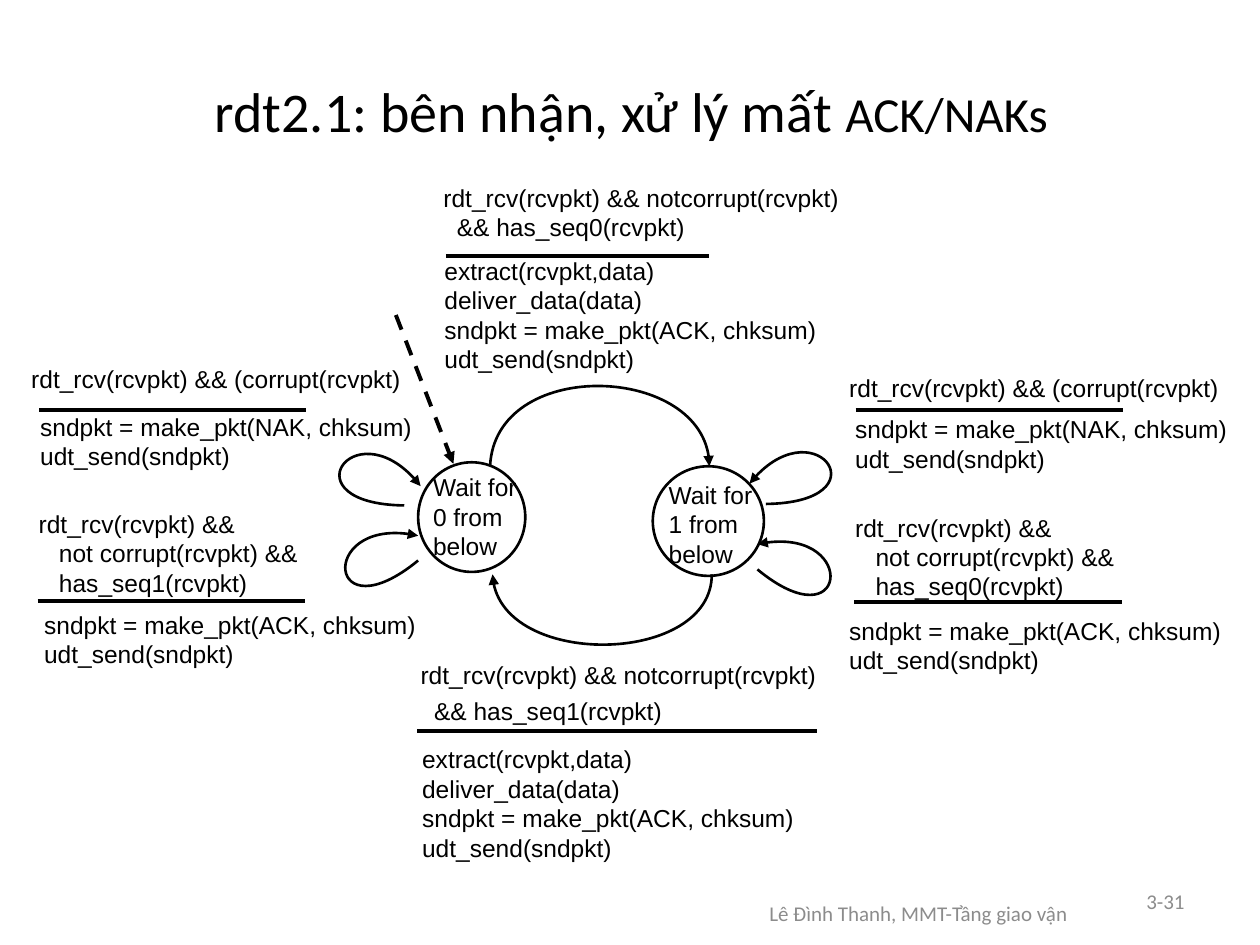
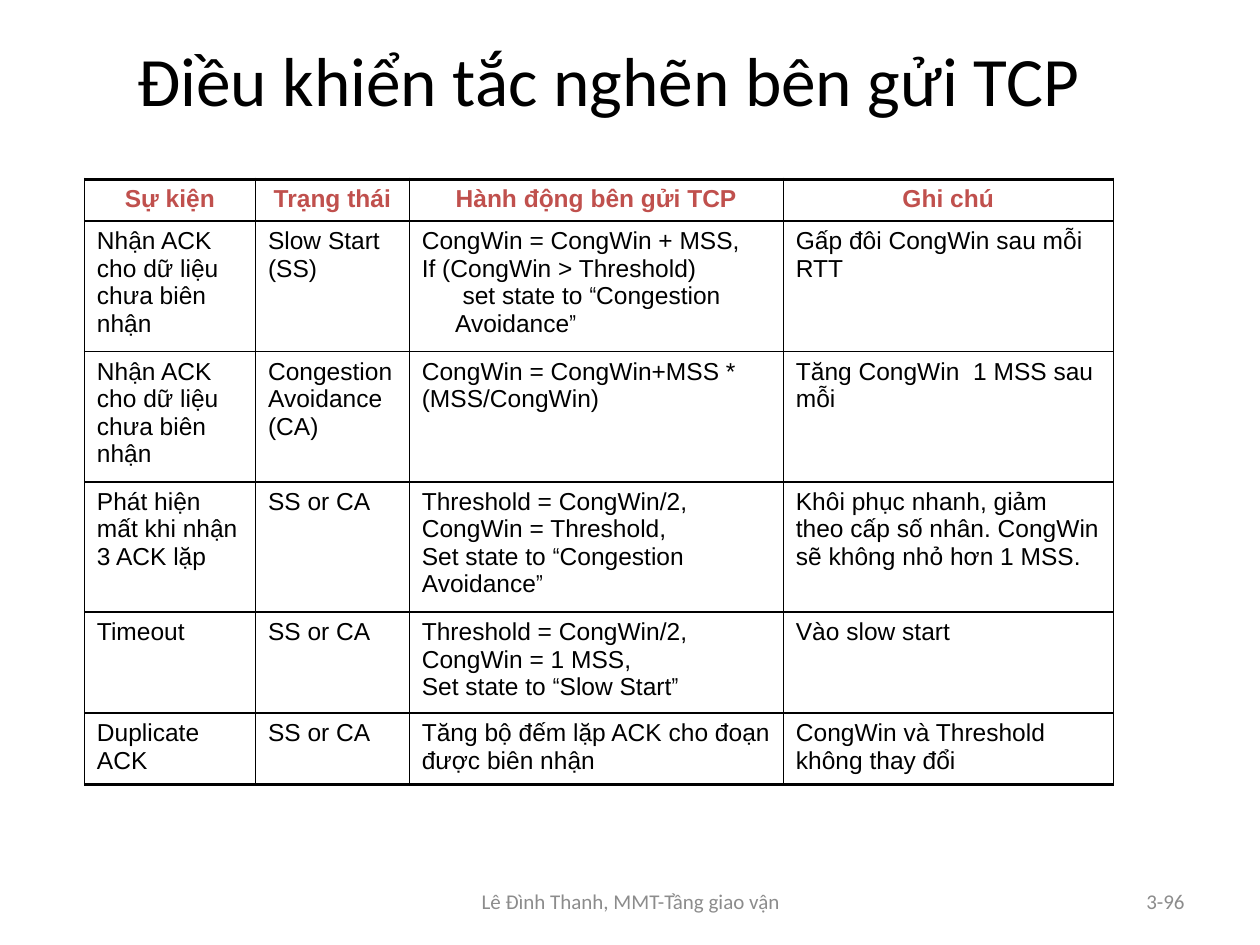
"""Build two lecture slides: the rdt2.1 receiver and TCP sender congestion control."""
from itertools import groupby

from pptx import Presentation
from pptx.dml.color import RGBColor
from pptx.enum import dml, shapes, text
from pptx.oxml.ns import qn
from pptx.oxml.xmlchemy import OxmlElement
from pptx.util import Cm, Pt

BLACK = RGBColor(0, 0, 0)
WHITE = RGBColor(0xFF, 0xFF, 0xFF)
GRAY = RGBColor(0x8C, 0x8C, 0x8C)
RED = RGBColor(0xC0, 0x50, 0x4D)
BODY, QUOTE, HEADING = "Arial", "Arial Narrow", "Calibri"

FOOTER = "Lê Đình Thanh, MMT-Tầng giao vận"
NUMBER_BOX = (18.21, 17.65, 5.92, 1.02)

RECEIVER = dict(
    title=[("rdt2.1: bên nhận, xử lý mất ", 32), ("ACK/NAKs", 28)],
    title_box=(1.17, 0.64, 23.11, 3.18),
    footer_box=(13.97, 17.78, 9.09, 1.27), number="3-31")
SENDER = dict(
    title=[("Điều khiển tắc nghẽn bên gửi TCP", 39.6)],
    title_box=(1.47, 0, 21.59, 3.18),
    footer_box=(8.69, 17.65, 8.05, 1.02), number="3-96")

CORRUPT = ["rdt_rcv(rcvpkt) && (corrupt(rcvpkt)"]
NAK = ["sndpkt = make_pkt(NAK, chksum)", "udt_send(sndpkt)"]
ACK = ["sndpkt = make_pkt(ACK, chksum)", "udt_send(sndpkt)"]
DELIVER = ["extract(rcvpkt,data)", "deliver_data(data)"] + ACK


def intact(seq):
    return ["rdt_rcv(rcvpkt) && notcorrupt(rcvpkt)", f"&& has_seq{seq}(rcvpkt)"]


def duplicate(seq):
    return ["rdt_rcv(rcvpkt) &&", "not corrupt(rcvpkt) &&", f"has_seq{seq}(rcvpkt)"]


# box, lines, indent of the following lines (cm), space before them (pt)
LABELS = [
    ((8.69, 3.56, 11.05, 1.57), intact(0), 0.27, 0),
    ((8.71, 5.03, 9.65, 1.96), DELIVER, 0, 0),
    ((16.87, 7.39, 8, 1.7), CORRUPT, 0, 0),
    ((16.99, 8.23, 8.41, 1.14), NAK, 0, 0),
    ((16.99, 10.21, 7.29, 1.7), duplicate(0), 0.41, 0),
    ((16.87, 12.29, 8.18, 1.14), ACK, 0, 0),
    ((0.38, 7.21, 8, 1.7), CORRUPT, 0, 0),
    ((0.56, 8.18, 8.41, 1.14), NAK, 0, 0),
    ((0.53, 10.13, 7.29, 1.7), duplicate(1), 0.41, 0),
    ((0.64, 12.17, 8.18, 1.14), ACK, 0, 0),
    ((8.23, 13.18, 9.96, 1.57), intact(1), 0.27, 3.7),
    ((8.26, 14.88, 10.69, 2.77), DELIVER, 0, 0),
]
RULES = [
    (8.99, 5.16, 14.3), (17.25, 8.26, 22.63), (17.22, 12.14, 22.61),
    (0.79, 8.26, 6.17), (0.76, 12.12, 6.15), (8.41, 14.73, 16.46),
]
STATES = [
    ((8.43, 9.32, 2.16, 2.21), (8.48, 9.4, 2.24, 1.7), "0 from below"),
    ((13.16, 9.4, 2.24, 2.21), (13.23, 9.55, 2.24, 1.7), "1 from below"),
]
START_ARROW = (7.98, 6.35, 9.14, 9.35)
CURVES = [
    [(9.88, 9.4), (9.98, 7.21), (14.3, 7.34), (14.3, 9.4)],
    [(14.35, 11.58), (14.35, 13.39), (10.01, 13.49), (9.93, 11.58)],
    [(15.44, 10.16), (17.81, 10.13), (16.41, 8.13), (15.11, 9.75)],
    [(15.27, 11.48), (17.09, 12.98), (17.32, 10.54), (15.27, 10.97)],
    [(8.43, 11.3), (6.6, 12.8), (6.4, 10.36), (8.43, 10.8)],
    [(8.15, 10.19), (5.79, 10.16), (7.19, 8.15), (8.48, 9.8)],
]

TABLE_AT = (1.7, 3.61)
COLUMNS = [3.45, 3.1, 7.54, 6.65]
ROWS = [0.84, 2.54, 2.48, 2.57, 1.98, 1.45]
NEW_ACK = "Nhận ACK cho dữ liệu chưa biên nhận"
EVENTS = [
    ["Sự kiện", "Trạng thái", "Hành động bên gửi TCP", "Ghi chú"],
    [NEW_ACK, "Slow Start (SS)",
     "CongWin = CongWin + MSS,\nIf (CongWin > Threshold)\n"
     "set state to “Congestion Avoidance”",
     "Gấp đôi CongWin sau mỗi RTT"],
    [NEW_ACK, "Congestion\nAvoidance (CA)",
     "CongWin = CongWin+MSS * (MSS/CongWin)", "Tăng CongWin  1 MSS sau mỗi"],
    ["Phát hiện mất khi nhận 3 ACK lặp", "SS or CA",
     "Threshold = CongWin/2,\nCongWin = Threshold,\n"
     "Set state to “Congestion Avoidance”",
     "Khôi phục nhanh, giảm theo cấp số nhân. CongWin sẽ không nhỏ hơn 1 MSS."],
    ["Timeout", "SS or CA",
     "Threshold = CongWin/2,\nCongWin = 1 MSS,\nSet state to “Slow Start”",
     "Vào slow start"],
    ["Duplicate ACK", "SS or CA", "Tăng bộ đếm lặp ACK cho đoạn được biên nhận",
     "CongWin và Threshold không thay đổi"],
]


def cm(values):
    return [Cm(v) for v in values]


def style(font, size, name=BODY, color=BLACK, bold=False):
    font.size, font.name, font.bold = Pt(size), name, bold
    font.color.rgb = color


def indent(p, margin, first=0):
    pPr = p._p.get_or_add_pPr()
    pPr.set("marL", str(Cm(margin)))
    pPr.set("indent", str(Cm(first)))


def add_text(slide, box, lines, size=14, name=BODY, color=BLACK):
    tf = slide.shapes.add_textbox(*cm(box)).text_frame
    tf.word_wrap = True
    tf.text = "\n".join(lines)
    for p in tf.paragraphs:
        style(p.font, size, name, color)
    return tf


def add_slide(prs, title, title_box, footer_box, number):
    slide = prs.slides.add_slide(prs.slide_layouts[5])
    sp = slide.shapes.title
    sp.left, sp.top, sp.width, sp.height = cm(title_box)
    tf = sp.text_frame
    tf.auto_size = text.MSO_AUTO_SIZE.NONE
    tf.vertical_anchor = text.MSO_ANCHOR.MIDDLE
    p = tf.paragraphs[0]
    p.alignment = text.PP_ALIGN.CENTER
    for words, size in title:
        r = p.add_run()
        r.text = words
        style(r.font, size, HEADING)
    for box, words, align in [(footer_box, FOOTER, text.PP_ALIGN.CENTER),
                              (NUMBER_BOX, number, text.PP_ALIGN.RIGHT)]:
        tf = add_text(slide, box, [words], 12, HEADING, GRAY)
        tf.vertical_anchor = text.MSO_ANCHOR.MIDDLE
        tf.paragraphs[0].alignment = align
    return slide


def set_line(sp, width):
    sp.line.color.rgb = BLACK
    sp.line.width = Pt(width)


def add_arrowhead(sp):
    tail = OxmlElement("a:tailEnd")
    tail.set("type", "triangle")
    sp._element.spPr.find(qn("a:ln")).append(tail)


def add_line(slide, x1, y1, x2, y2):
    line = slide.shapes.add_connector(shapes.MSO_CONNECTOR.STRAIGHT, *cm((x1, y1, x2, y2)))
    set_line(line, 2.25)
    line._element.spPr.append(OxmlElement("a:effectLst"))
    return line


def add_curve(slide, points):
    start, *rest = [cm(point) for point in points]
    builder = slide.shapes.build_freeform(*start)
    builder.add_line_segments(rest, close=False)
    sp = builder.convert_to_shape()
    sp.fill.background()
    sp.shadow.inherit = False
    set_line(sp, 1.5)
    add_arrowhead(sp)
    outline = next(sp._element.iter(qn("a:path")))
    bezier = OxmlElement("a:cubicBezTo")
    for segment in outline.findall(qn("a:lnTo")):
        bezier.append(segment[0])
        outline.remove(segment)
    outline.append(bezier)


def build_receiver(prs):
    slide = add_slide(prs, **RECEIVER)
    for circle, box, words in STATES:
        sp = slide.shapes.add_shape(shapes.MSO_SHAPE.OVAL, *cm(circle))
        sp.shadow.inherit = False
        sp.fill.solid()
        sp.fill.fore_color.rgb = WHITE
        set_line(sp, 1.5)
        add_text(slide, box, ["Wait for", words])
    for box, lines, margin, gap in LABELS:
        for p in add_text(slide, box, lines).paragraphs[1:]:
            indent(p, margin)
            p.space_before = Pt(gap)
    for left, y, right in RULES:
        add_line(slide, left, y, right, y)
    arrow = add_line(slide, *START_ARROW)
    arrow.line.dash_style = dml.MSO_LINE.DASH
    add_arrowhead(arrow)
    for points in CURVES:
        add_curve(slide, points)


def set_borders(cell, top, bottom):
    tcPr = cell._tc.get_or_add_tcPr()
    for side, width in [("L", 0.75), ("R", 0.75), ("T", top), ("B", bottom)]:
        ln = OxmlElement(f"a:ln{side}")
        ln.set("w", str(Pt(width)))
        fill, color = OxmlElement("a:solidFill"), OxmlElement("a:srgbClr")
        color.set("val", str(BLACK))
        fill.append(color)
        ln.append(fill)
        tcPr.append(ln)


def fill_cell(cell, words, header):
    cell.fill.background()
    cell.text = words
    for p in cell.text_frame.paragraphs:
        line = p.text
        p.clear()
        if header:
            p.alignment = text.PP_ALIGN.CENTER
        if line.startswith("set state"):
            indent(p, 0.67, 0.15)
        for quoted, chars in groupby(line, key=lambda ch: ch in "“”"):
            r = p.add_run()
            r.text = "".join(chars)
            style(r.font, 14, QUOTE if quoted else BODY, RED if header else BLACK, header)


def build_sender(prs):
    slide = add_slide(prs, **SENDER)
    table = slide.shapes.add_table(
        len(ROWS), len(COLUMNS), *cm((*TABLE_AT, sum(COLUMNS), sum(ROWS)))).table
    table.first_row = table.horz_banding = False
    for column, width in zip(table.columns, COLUMNS):
        column.width = Cm(width)
    last = len(ROWS) - 1
    for i, (height, events) in enumerate(zip(ROWS, EVENTS)):
        table.rows[i].height = Cm(height)
        for j, words in enumerate(events):
            cell = table.cell(i, j)
            set_borders(cell, 2 if i == 0 else 1, 2 if i == last else 1)
            fill_cell(cell, words, i == 0)


def main():
    prs = Presentation()
    prs.slide_width, prs.slide_height = Cm(25.4), Cm(19.05)
    build_receiver(prs)
    build_sender(prs)
    prs.save("out.pptx")


if __name__ == "__main__":
    main()
